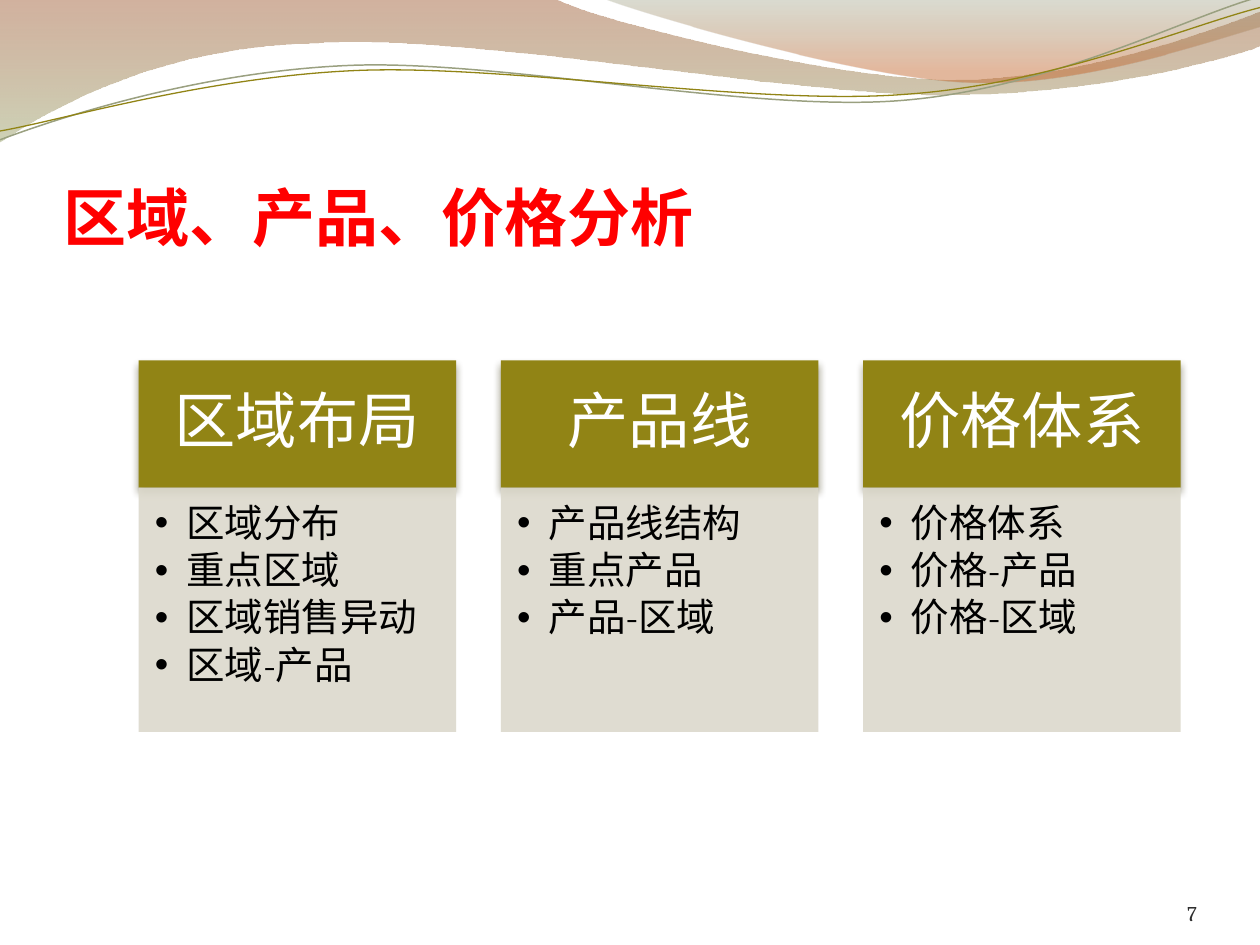
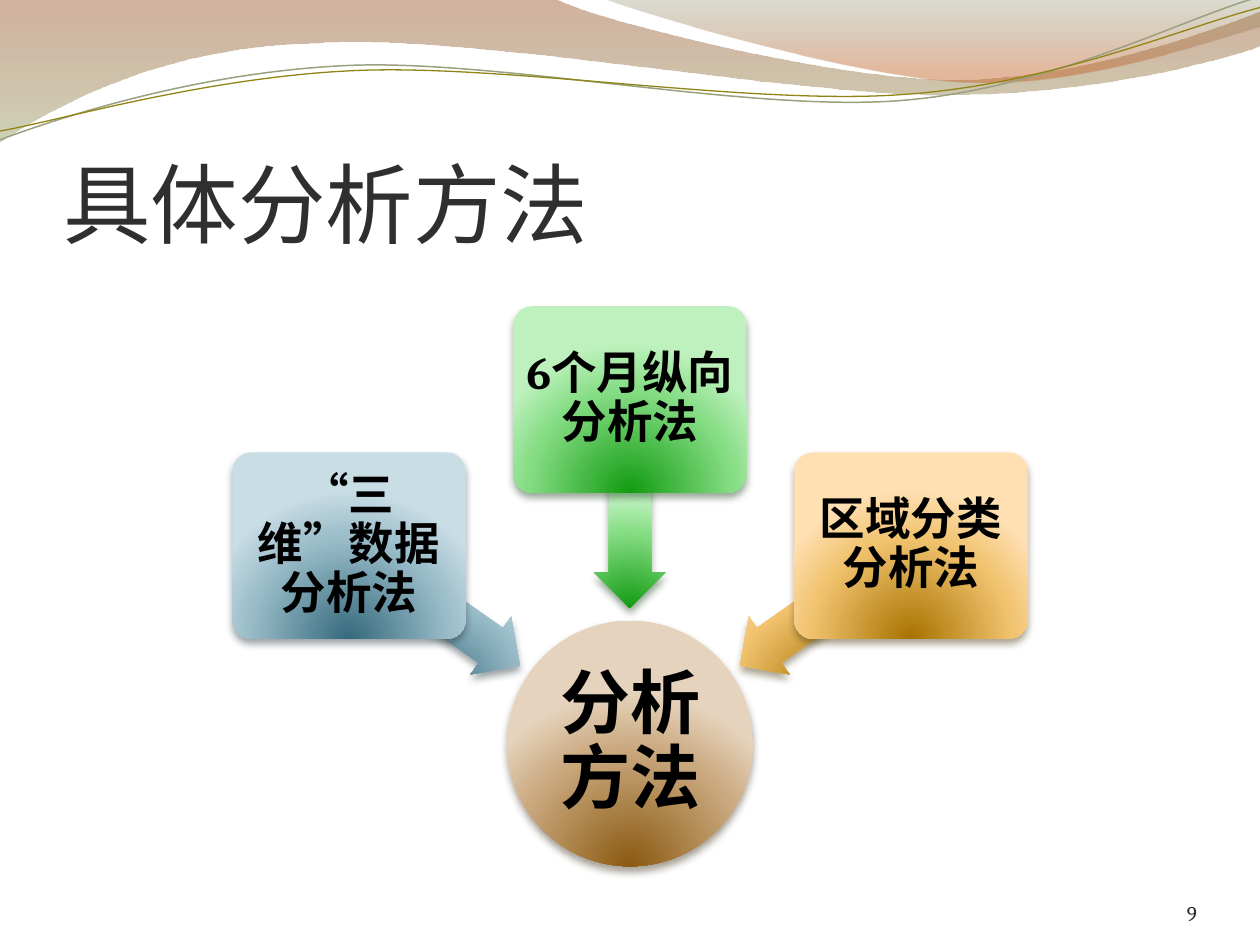
from lxml import etree
from pptx import Presentation
from pptx.dml.color import RGBColor
from pptx.enum.shapes import MSO_SHAPE
from pptx.enum.text import MSO_ANCHOR, PP_ALIGN
from pptx.oxml.ns import qn
from pptx.util import Pt

PX = 9144
RECTANGLE = MSO_SHAPE.RECTANGLE
ROUNDED = MSO_SHAPE.ROUNDED_RECTANGLE
OVAL = MSO_SHAPE.OVAL
LEFT_ARROW = MSO_SHAPE.LEFT_ARROW
TOP, MIDDLE, BOTTOM = MSO_ANCHOR.TOP, MSO_ANCHOR.MIDDLE, MSO_ANCHOR.BOTTOM
LEFT, CENTER, RIGHT = PP_ALIGN.LEFT, PP_ALIGN.CENTER, PP_ALIGN.RIGHT

BLACK = RGBColor(0, 0, 0)
WHITE = RGBColor(255, 255, 255)
RED = RGBColor(255, 0, 0)
CHARCOAL = RGBColor(0x2F, 0x2F, 0x2F)
NUMBER_GRAY = RGBColor(0x2D, 0x2D, 0x2D)
OLIVE = RGBColor(0x91, 0x84, 0x15)
OLIVE_SHADOW = RGBColor(0x34, 0x2F, 0x06)
SAGE = RGBColor(0x9A, 0xA0, 0x80)
STONE = RGBColor(0xDC, 0xD9, 0xCC)
RUST = RGBColor(0x9A, 0x54, 0x2A)
MOSS = RGBColor(0xA5, 0xAD, 0x7B)
FERN = RGBColor(0x84, 0x8A, 0x67)
ORANGE = RGBColor(0xC3, 0x62, 0x28)

BROWN_GLOW = (RGBColor(0x8B, 0x5A, 0x11), RGBColor(0xCA, 0xA9, 0x7F), RGBColor(0xE6, 0xD3, 0xBD))
BLUE_GLOW = (RGBColor(0x35, 0x6A, 0x7D), RGBColor(0x9B, 0xBD, 0xCA), RGBColor(0xC9, 0xDD, 0xE5))
GREEN_GLOW = (RGBColor(0x12, 0x9B, 0x11), RGBColor(0x84, 0xDC, 0x83), RGBColor(0xBE, 0xF1, 0xBD))
GOLD_GLOW = (RGBColor(0xA7, 0x73, 0x00), RGBColor(0xF1, 0xC3, 0x6F), RGBColor(0xFF, 0xE0, 0xB3))
BROWN_SHADOW = RGBColor(0x42, 0x34, 0x1F)
BLUE_SHADOW = RGBColor(0x2E, 0x3D, 0x42)
GREEN_SHADOW = RGBColor(0x23, 0x4A, 0x22)
GOLD_SHADOW = RGBColor(0x52, 0x40, 0x15)

WIDE_WAVE = [(0, 0), (440, -1), (476, 17, 664, 63, 758, 63), (853, 63, 958, 26, 1000, 9),
             (1001, 36), (983, 44, 870, 76, 746, 75), (622, 75, 382, 28, 257, 34),
             (129, 36, 46, 83, -1, 113), (0, 0)]
SHORT_WAVE = [(479, -1), (509, 11, 682, 62, 769, 65), (856, 69, 961, 32, 1000, 21), (1000, 0),
              (479, -1)]
SAGE_CURVE = [(0, 111), (48, 93, 158, 57, 277, 52), (395, 47, 593, 89, 713, 80),
              (833, 71, 938, 15, 998, -2)]
OLIVE_CURVE = [(0, 104), (47, 96, 164, 61, 283, 56), (403, 51, 597, 84, 717, 75),
               (836, 67, 941, 21, 1000, 6)]


def emu(*lengths):
    return [round(length * PX) for length in lengths]


def add_color(parent, color, alpha=100):
    node = etree.SubElement(parent, qn("a:srgbClr"), val=str(color))
    if alpha < 100:
        etree.SubElement(node, qn("a:alpha"), val=str(alpha * 1000))


def fill_gradient(shape, stops, radial=False):
    shape.fill.gradient()
    gradient = shape._element.spPr.find(qn("a:gradFill"))
    for child in list(gradient):
        gradient.remove(child)
    stop_list = etree.SubElement(gradient, qn("a:gsLst"))
    for position, color, alpha in stops:
        stop = etree.SubElement(stop_list, qn("a:gs"), pos=str(position * 1000))
        add_color(stop, color, alpha)
    if radial:
        circle = etree.SubElement(gradient, qn("a:path"), path="circle")
        etree.SubElement(circle, qn("a:fillToRect"), l="50000", t="130000", r="50000", b="-30000")
    else:
        etree.SubElement(gradient, qn("a:lin"), ang="5400000", scaled="1")


def cast_shadow(shape, color):
    effects = shape._element.spPr.find(qn("a:effectLst"))
    shadow = etree.SubElement(effects, qn("a:outerShdw"), blurRad=str(Pt(4.5)),
                              dist=str(Pt(3)), dir="5400000", rotWithShape="0")
    add_color(shadow, color, 48)


def add_figure(page, kind, box, shadow=None):
    shape = page.shapes.add_shape(kind, *emu(*box))
    shape.shadow.inherit = False
    shape.line.fill.background()
    if shadow:
        cast_shadow(shape, shadow)
    return shape


def add_glow_figure(page, kind, center, size, glow, shadow):
    box = (center[0] - size[0] / 2, center[1] - size[1] / 2, *size)
    shape = add_figure(page, kind, box, shadow)
    fill_gradient(shape, [(position, color, 100) for position, color in zip((0, 68, 100), glow)],
                  radial=True)
    return shape


def write(shape, *lines, size, color, font="Cambria", bold=False, align=CENTER, anchor=MIDDLE,
          insets=(0, 0, 0, 0), spacing=None, after=0, bullet=False):
    frame = shape.text_frame
    frame.word_wrap = True
    frame.vertical_anchor = anchor
    frame.margin_left, frame.margin_top, frame.margin_right, frame.margin_bottom = emu(*insets)
    for index, line in enumerate(lines):
        para = frame.add_paragraph() if index else frame.paragraphs[0]
        para.alignment = align
        if spacing:
            para.line_spacing = spacing
        properties = para._p.get_or_add_pPr()
        if after:
            para.space_after = Pt(0)
            space = properties.find(qn("a:spcAft"))
            space.remove(space[0])
            etree.SubElement(space, qn("a:spcPct"), val=str(after * 1000))
        if bullet:
            properties.set("marL", str(25 * PX))
            properties.set("indent", str(-25 * PX))
            etree.SubElement(properties, qn("a:buFont"), typeface="Arial")
            etree.SubElement(properties, qn("a:buChar"), char="•")
        span = para.add_run()
        span.text = line
        span.font.name = font
        span.font.size = Pt(size)
        span.font.bold = bold
        span.font.color.rgb = color


def bend_segments(shape, segments):
    corners = iter(list(shape._element.iter(qn("a:lnTo"))))
    for segment in segments:
        first = next(corners)
        if len(segment) == 6:
            curve = etree.Element(qn("a:cubicBezTo"))
            first.addprevious(curve)
            for corner in (first, next(corners), next(corners)):
                curve.append(corner[0])
                corner.getparent().remove(corner)


def add_outline(page, outline, close):
    start, *segments = outline
    points = [emu(*segment[index:index + 2])
              for segment in segments for index in range(0, len(segment), 2)]
    builder = page.shapes.build_freeform(*emu(*start))
    builder.add_line_segments(points, close=close)
    shape = builder.convert_to_shape()
    bend_segments(shape, segments)
    shape.shadow.inherit = False
    return shape


def add_waves(page):
    for outline, stops in ((WIDE_WAVE, [(0, RUST, 45), (100, MOSS, 55)]),
                           (SHORT_WAVE, [(0, FERN, 30), (80, ORANGE, 45)])):
        wave = add_outline(page, outline, True)
        fill_gradient(wave, stops)
        wave.line.fill.background()
    for outline, color, width in ((SAGE_CURVE, SAGE, 0.85), (OLIVE_CURVE, OLIVE, 0.75)):
        curve = add_outline(page, outline, False)
        curve.fill.background()
        curve.line.color.rgb = color
        curve.line.width = Pt(width)


def start_page(deck, title, number, **title_format):
    page = deck.slides.add_slide(deck.slide_layouts[6])
    add_waves(page)
    title_box = page.shapes.add_textbox(*emu(50, 77, 908, 125))
    write(title_box, title, align=LEFT, anchor=BOTTOM, insets=(0, 5, 0, 0), **title_format)
    number_box = page.shapes.add_textbox(*emu(867, 695, 83, 40))
    write(number_box, number, size=12, color=NUMBER_GRAY, align=RIGHT, anchor=BOTTOM)
    return page


def add_column(page, box, heading, items):
    left, top, width, height = box
    heading_height = 101
    header = add_figure(page, RECTANGLE, (left, top, width, heading_height), OLIVE_SHADOW)
    header.fill.solid()
    header.fill.fore_color.rgb = OLIVE
    write(header, heading, size=35, color=WHITE, insets=(27, 16, 27, 16), spacing=0.9, after=35)
    body = add_figure(page, RECTANGLE,
                      (left, top + heading_height, width, height - heading_height))
    body.fill.solid()
    body.fill.fore_color.rgb = STONE
    tint = body._element.spPr.find(qn("a:solidFill"))[0]
    etree.SubElement(tint, qn("a:alpha"), val="90000")
    write(body, *items, size=22, color=BLACK, align=LEFT, anchor=TOP, insets=(13, 13, 17, 19),
          spacing=0.9, after=15, bullet=True)


def add_columns(page, box, columns):
    left, top, width, height = box
    column_width = 252
    step = (width - column_width) / (len(columns) - 1)
    for index, (heading, items) in enumerate(columns):
        add_column(page, (left + index * step, top, column_width, height), heading, items)


def add_method(page, hub, reach, arrow_reach, rotation, text, glow, shadow):
    x, y = hub
    arrow = add_glow_figure(page, LEFT_ARROW, (x + arrow_reach[0], y + arrow_reach[1]),
                            (165, 56), glow, shadow)
    arrow.adjustments[0], arrow.adjustments[1] = 0.6, 0.5
    arrow.rotation = rotation
    card = add_glow_figure(page, ROUNDED, (x + reach[0], y + reach[1]), (185, 148), glow, shadow)
    card.adjustments[0] = 0.1
    write(card, text, size=26, color=BLACK, bold=True, insets=(5, 5, 5, 5), spacing=0.9, after=35)


def add_method_hub(page, hub):
    circle = add_glow_figure(page, OVAL, hub, (195, 195), BROWN_GLOW, BROWN_SHADOW)
    write(circle, "分析方法", size=40, color=BLACK, bold=True, insets=(3, 3, 3, 3),
          spacing=0.9, after=35)
    add_method(page, hub, (-223, -157), (-155, -109), 215, "“三维”数据分析法",
               BLUE_GLOW, BLUE_SHADOW)
    add_method(page, hub, (0, -273), (0, -190), 270, "6个月纵向分析法",
               GREEN_GLOW, GREEN_SHADOW)
    add_method(page, hub, (223, -157), (155, -109), 325, "区域分类分析法",
               GOLD_GLOW, GOLD_SHADOW)


def main():
    deck = Presentation()
    deck.slide_width, deck.slide_height = emu(1000, 750)

    page = start_page(deck, "区域、产品、价格分析", "7", size=36, color=RED, font="Arial", bold=True)
    add_columns(page, (110, 286, 827, 295), [
        ("区域布局", ["区域分布", "重点区域", "区域销售异动", "区域-产品"]),
        ("产品线", ["产品线结构", "重点产品", "产品-区域"]),
        ("价格体系", ["价格体系", "价格-产品", "价格-区域"]),
    ])

    page = start_page(deck, "具体分析方法", "9", size=50, color=CHARCOAL, font="Calibri")
    add_method_hub(page, (500, 590))
    deck.save("out.pptx")


if __name__ == "__main__":
    main()
